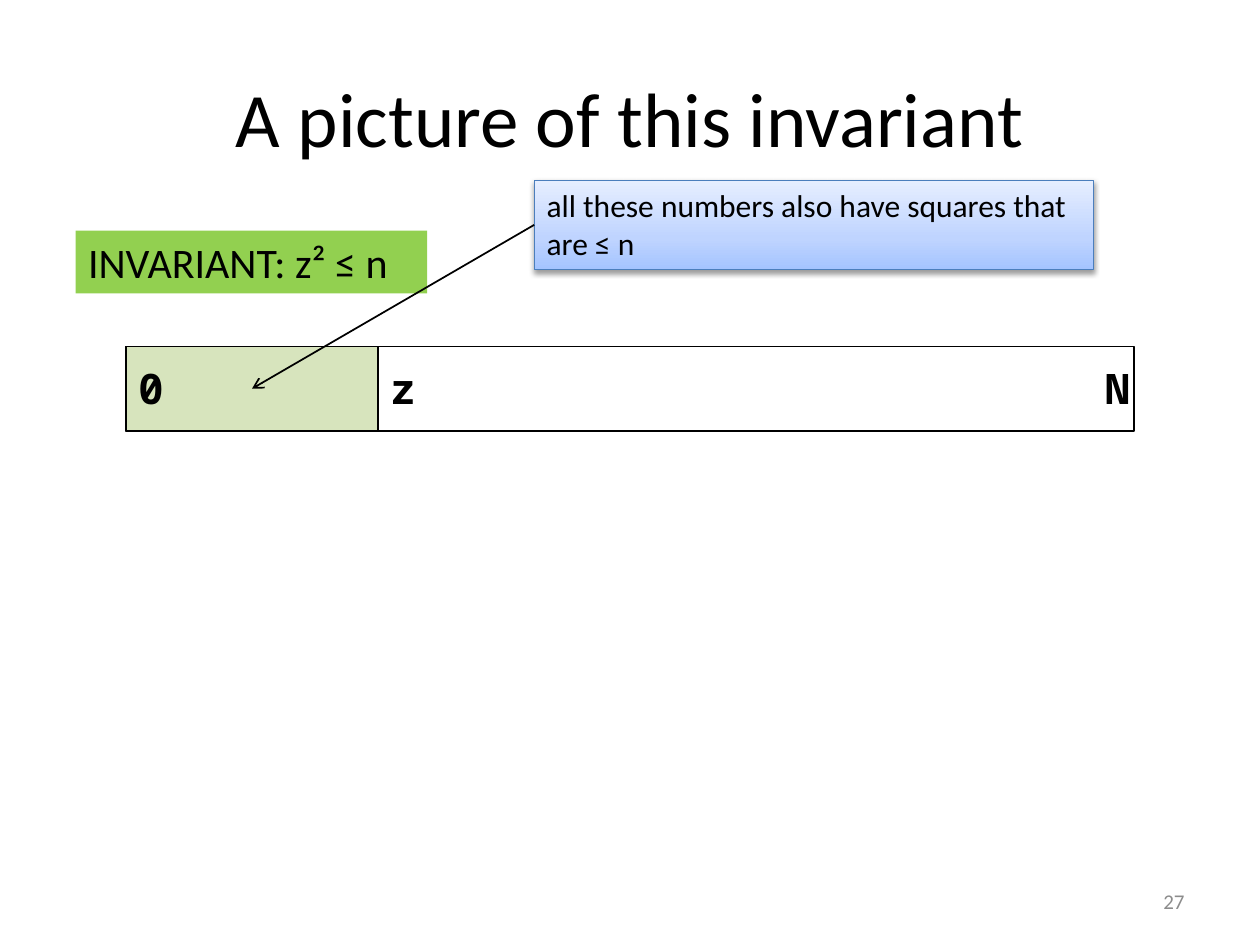
"""Build the slide that draws the invariant z² ≤ n as a number bar."""
import pptx
import pptx.util
import pptx.dml.color
import pptx.enum.shapes
import pptx.enum.text
import pptx.oxml
import pptx.oxml.ns
from dataclasses import dataclass

Inches, Pt = pptx.util.Inches, pptx.util.Pt
RGB = pptx.dml.color.RGBColor.from_string
ANCHOR, ALIGN = pptx.enum.text.MSO_ANCHOR, pptx.enum.text.PP_ALIGN
RECT = pptx.enum.shapes.MSO_SHAPE.RECTANGLE
STRAIGHT = pptx.enum.shapes.MSO_CONNECTOR.STRAIGHT
NS = pptx.oxml.ns.nsdecls("a")


@dataclass(frozen=True)
class Theme:
    body: str = "Calibri"
    mono: str = "Noto Sans Mono"
    ink: str = "000000"
    muted: str = "8C8C8C"
    checked: str = "D7E4BD"
    invariant: str = "92D050"
    note_line: str = "4B7EBC"
    note_stops: tuple = ((0, "A4C4FF"), (35, "BFD4FF"), (100, "E6EEFF"))
    title_size: int = 44
    label_size: int = 24
    note_size: int = 18
    number_size: int = 12


T = Theme()


def write(sp, text, size, name=T.body, color=T.ink, bold=False,
          align=ALIGN.LEFT, anchor=ANCHOR.TOP, wrap=True):
    tf = sp.text_frame
    tf.word_wrap, tf.vertical_anchor = wrap, anchor
    p = tf.paragraphs[0]
    p.alignment = align
    r = p.add_run()
    r.text = text
    for key, value in {"name": name, "size": Pt(size), "bold": bold}.items():
        setattr(r.font, key, value)
    r.font.color.rgb = RGB(color)


def box(at, fill=None, line=None, width=1):
    sp = s.shapes.add_shape(RECT, *map(Inches, at))
    sp.shadow.inherit = False
    if fill:
        sp.fill.solid()
        sp.fill.fore_color.rgb = RGB(fill)
    else:
        sp.fill.background()
    if line:
        sp.line.color.rgb = RGB(line)
        sp.line.width = Pt(width)
    else:
        sp.line.fill.background()
    return sp


prs = pptx.Presentation()
prs.slide_width, prs.slide_height = Inches(10), Inches(7.5)
s = prs.slides.add_slide(prs.slide_layouts[5])

left, top, width, height, split = 1, 2.75, 8, 0.67, 3

title = s.shapes.title
for key, value in {"left": 0.5, "top": 0.3, "width": 9, "height": 1.25}.items():
    setattr(title, key, Inches(value))
write(title, "A picture of this invariant", T.title_size,
      align=ALIGN.CENTER, anchor=ANCHOR.MIDDLE)

box((left, top, split - left, height), T.checked, T.ink)
box((left, top, width, height), line=T.ink)
for text, x, w in (("0", left, 0.39), ("z", split, 0.57), ("N", 8.67, 0.39)):
    label = s.shapes.add_textbox(*map(Inches, (x, 2.83, w, 0.5)))
    write(label, text, T.label_size, T.mono, bold=True, wrap=False)

invariant = box((0.6, 1.83, 2.79, 0.5), T.invariant)
write(invariant, "INVARIANT: z² ≤ n", T.label_size)

note = box((4.24, 1.43, 4.44, 0.71), line=T.note_line, width=0.75)
write(note, "all these numbers also have squares that are ≤ n", T.note_size)
stops = "".join(f'<a:gs pos="{pos * 1000}"><a:srgbClr val="{color}"/></a:gs>'
                for pos, color in T.note_stops)
pr = note._element.spPr
pr.replace(pr.find(pptx.oxml.ns.qn("a:noFill")), pptx.oxml.parse_xml(
    f'<a:gradFill {NS} rotWithShape="1"><a:gsLst>{stops}</a:gsLst>'
    '<a:lin ang="16200000" scaled="0"/></a:gradFill>'))
pr.find(pptx.oxml.ns.qn("a:effectLst")).append(pptx.oxml.parse_xml(
    f'<a:outerShdw {NS} blurRad="{Pt(3.1)}" dist="{Pt(1.6)}" dir="5400000" '
    f'rotWithShape="0"><a:srgbClr val="{T.ink}"><a:alpha val="38000"/>'
    '</a:srgbClr></a:outerShdw>'))

divider = s.shapes.add_connector(
    STRAIGHT, *map(Inches, (split, top, split, top + height)))
arrow = s.shapes.add_connector(
    STRAIGHT, *map(Inches, (4.24, 1.79, (left + split) / 2, top + height / 2)))
arrow.begin_connect(note, 1)
for line, weight in ((divider, 0.75), (arrow, 1)):
    line.line.color.rgb = RGB(T.ink)
    line.line.width = Pt(weight)
    line._element.spPr.append(pptx.oxml.parse_xml(f"<a:effectLst {NS}/>"))
arrow.line._get_or_add_ln().append(
    pptx.oxml.parse_xml(f'<a:tailEnd {NS} type="arrow"/>'))

number = s.shapes.add_textbox(*map(Inches, (7.17, 6.95, 2.33, 0.4)))
write(number, "27", T.number_size, color=T.muted,
      align=ALIGN.RIGHT, anchor=ANCHOR.MIDDLE)

prs.save("out.pptx")
